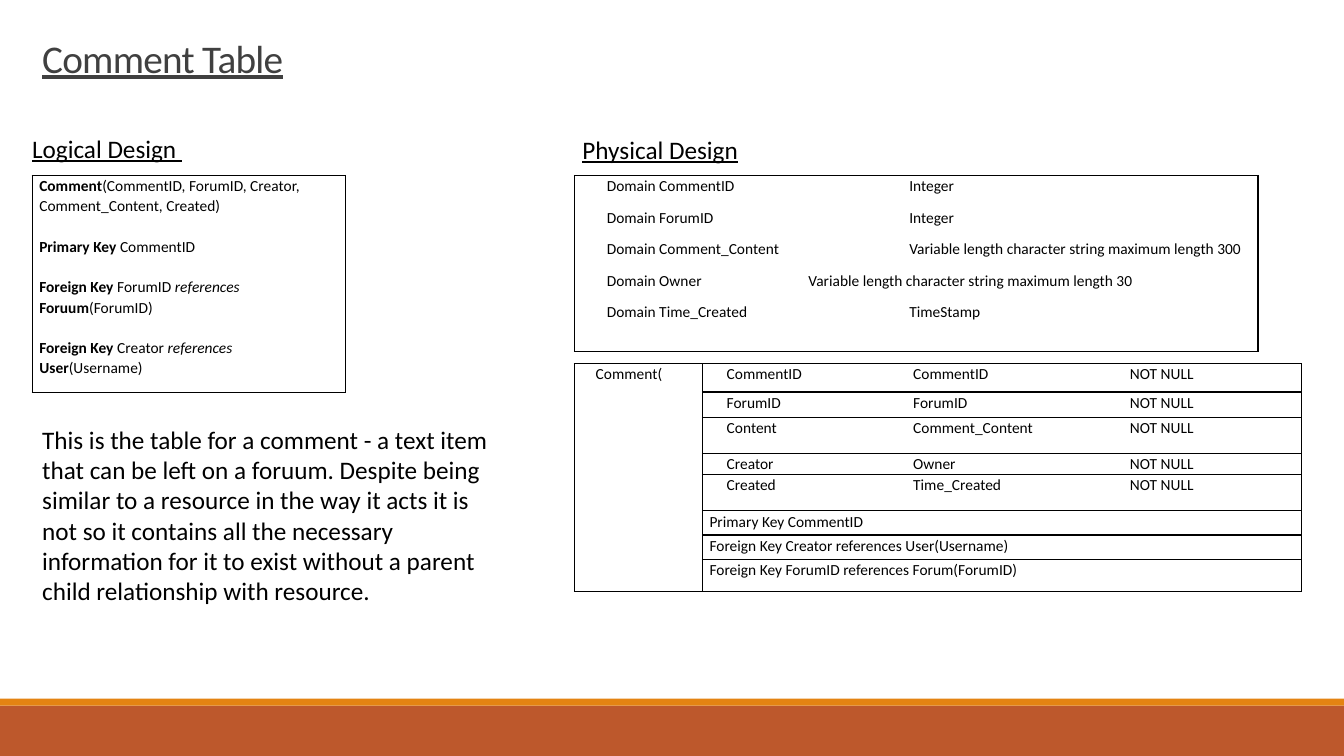
"""Build the Comment Table slide with its logical and physical designs."""
from lxml import etree
from pptx import Presentation, util as u
from pptx.dml.color import RGBColor
from pptx.enum import shapes
from pptx.oxml import ns

BLACK = RGBColor(0x00, 0x00, 0x00)
GREY = RGBColor(0x40, 0x40, 0x40)
ORANGE = RGBColor(0xE4, 0x83, 0x12)
RUST = RGBColor(0xBD, 0x58, 0x2C)

WIDTH, HEIGHT = u.Inches(13.33), u.Inches(7.5)
LEFT, RIGHT = 2.4, 42.75
DESIGN_TOP = 23.2
CELL_MARGIN = 0.07

BOLD, ITALIC = "bold", "italic"
LOGICAL = [
    [("Comment", BOLD), ("(CommentID, ForumID, Creator, Comment_Content, Created)", None)],
    [("Primary Key", BOLD), (" CommentID", None)],
    [("Foreign Key", BOLD), (" ForumID ", None), ("references ", ITALIC),
     ("Foruum", BOLD), ("(ForumID)", None)],
    [("Foreign Key", BOLD), (" Creator ", None), ("references ", ITALIC),
     ("User", BOLD), ("(Username)", None)],
]
DOMAINS = [
    ("CommentID", "Integer", 3),
    ("ForumID", "Integer", 3),
    ("Comment_Content", "Variable length character string maximum length 300", 3),
    ("Owner", "Variable length character string maximum length 30", 2),
    ("Time_Created", "TimeStamp", 3),
]
FIELDS = [
    ("CommentID", "CommentID", 3.73),
    ("ForumID", "ForumID", 3.33),
    ("Content", "Comment_Content", 4.8),
    ("Creator", "Owner", 2.8),
    ("Created", "Time_Created", 4.8),
]
KEYS = [
    ("Primary Key CommentID", 3.2),
    ("Foreign Key Creator references User(Username)", 3.2),
    ("Foreign Key ForumID references Forum(ForumID)", 4.27),
]


def across(percent):
    return u.Emu(int(WIDTH * percent / 100))


def down(percent):
    return u.Emu(int(HEIGHT * percent / 100))


def add_band(s, top, height, color):
    band = s.shapes.add_shape(shapes.MSO_SHAPE.RECTANGLE, 0, down(top), WIDTH, down(height))
    band.shadow.inherit = False
    band.fill.solid()
    band.fill.fore_color.rgb = color
    band.line.fill.background()


def style_run(r, size, color=BLACK):
    r.font.name = "Calibri"
    r.font.size = u.Pt(size)
    r.font.color.rgb = color


def add_text(s, left, top, width, height, content, size=18, color=BLACK, underline=False):
    box = s.shapes.add_textbox(across(left), down(top), across(width), down(height))
    tf = box.text_frame
    tf.word_wrap = True
    p = tf.paragraphs[0]
    p.text = content
    r = p.runs[0]
    style_run(r, size, color)
    if underline:
        r.font.underline = True
    return p


def add_grid(s, left, top, columns, rows):
    frame = s.shapes.add_table(len(rows), len(columns), across(left), down(top),
                               across(sum(columns)), down(sum(rows)))
    table = frame.table
    table.first_row = table.horz_banding = False
    for column, width in zip(table.columns, columns):
        column.width = across(width)
    for row, height in zip(table.rows, rows):
        row.height = down(height)
    for cell in table.iter_cells():
        cell.margin_left = cell.margin_right = u.Inches(CELL_MARGIN)
        cell.margin_top = cell.margin_bottom = 0
        add_borders(cell)
        cell.fill.background()
    return table


def add_borders(cell):
    props = cell._tc.get_or_add_tcPr()
    for side in ("lnL", "lnR", "lnT", "lnB"):
        line = etree.SubElement(props, ns.qn(f"a:{side}"), w=str(u.Pt(1)))
        fill = etree.SubElement(line, ns.qn("a:solidFill"))
        etree.SubElement(fill, ns.qn("a:srgbClr"), val=str(BLACK))


def set_tabs(p, stops):
    props = p._p.get_or_add_pPr()
    props.set("defTabSz", str(u.Inches(stops[-1] / len(stops))))
    tabs = etree.SubElement(props, ns.qn("a:tabLst"))
    for stop in stops:
        etree.SubElement(tabs, ns.qn("a:tab"), pos=str(u.Inches(stop)), algn="l")


def write_cell(cell, lines, indent=0, after=8):
    """Fill a cell with lines, each a list of runs and a list of tab stops in inches."""
    cell.margin_left = u.Inches(CELL_MARGIN + indent)
    tf = cell.text_frame
    for i, (runs, stops) in enumerate(lines):
        p = tf.add_paragraph() if i else tf.paragraphs[0]
        p.line_spacing = 1.07
        p.space_after = u.Pt(after)
        if stops:
            set_tabs(p, stops)
        for content, style in runs:
            r = p.add_run()
            r.text = content
            style_run(r, 11)
            r.font.bold = style == BOLD
            r.font.italic = style == ITALIC


def add_logical_design(s):
    table = add_grid(s, LEFT, DESIGN_TOP, [23.33], [28.67])
    write_cell(table.cell(0, 0), [(runs, []) for runs in LOGICAL], after=14.4)


def add_domains(s):
    table = add_grid(s, RIGHT, DESIGN_TOP, [50.85], [23.33])
    lines = [([(f"Domain {name}\t{kind}", None)], [stop]) for name, kind, stop in DOMAINS]
    write_cell(table.cell(0, 0), lines, indent=0.25)


def add_relation(s):
    heights = [entry[-1] for entry in FIELDS + KEYS]
    table = add_grid(s, RIGHT, 48.13, [9.52, 44.55], heights)
    table.cell(0, 0).merge(table.cell(len(heights) - 1, 0))
    write_cell(table.cell(0, 0), [([("Comment(", None)], [])], indent=0.14)
    for row, (name, domain, _) in enumerate(FIELDS):
        runs = [(f"{name}\t{domain}\tNOT NULL", None)]
        write_cell(table.cell(row, 1), [(runs, [1.85, 4])], indent=0.17)
    for row, (key, _) in enumerate(KEYS, len(FIELDS)):
        write_cell(table.cell(row, 1), [([(key, None)], [])])


def main():
    prs = Presentation()
    prs.slide_width, prs.slide_height = WIDTH, HEIGHT
    s = prs.slides.add_slide(prs.slide_layouts[6])
    add_band(s, 93.33, 6.67, RUST)
    add_band(s, 92.4, 0.93, ORANGE)
    title = add_text(s, LEFT, 4.8, 25.2, 6.8, "Comment Table", 28, GREY, underline=True)
    title.line_spacing = 0.85
    title.runs[0].font._element.set("spc", "-50")
    add_text(s, 1.65, 16.93, 20.25, 5.33, "Logical Design ", underline=True)
    add_text(s, 42.6, 17.07, 27.15, 5.33, "Physical Design", underline=True)
    add_text(s, LEFT, 55.47, 35.03, 25.6,
             "This is the table for a comment - a text item that can be left on a foruum. "
             "Despite being similar to a resource in the way it acts it is not so it contains "
             "all the necessary information for it to exist without a parent child "
             "relationship with resource.")
    add_logical_design(s)
    add_domains(s)
    add_relation(s)
    prs.save("out.pptx")


if __name__ == "__main__":
    main()
